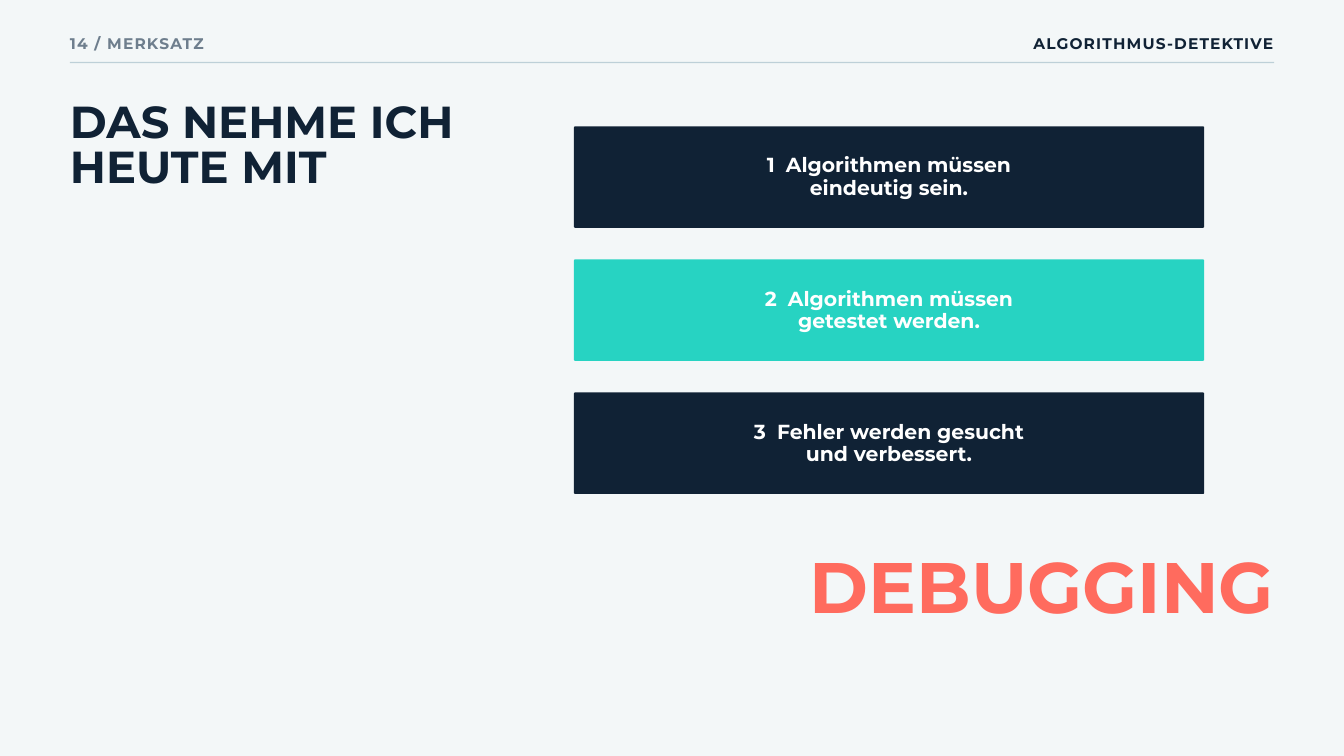
"""Build the takeaway slide with three numbered statements and a closing keyword."""
from pptx import Presentation
from pptx.dml.color import RGBColor
from pptx.enum.shapes import MSO_SHAPE as Shape
from pptx.enum.text import MSO_ANCHOR as Anchor, PP_ALIGN as Align
from pptx.util import Inches, Pt

FONT = "Montserrat"
NAVY, TEAL, CORAL, GREY = "102235", "27D3C2", "FF6B5E", "6E7E8D"
RULE, PAPER, WHITE = "BDD0D8", "F3F7F8", "FFFFFF"

HEADER = {"size": 16.5, "leading": 23.1, "tracking": 1.3}
TEXTS = [
    (["14 / MERKSATZ"], (1.04, 0.46, 3.12, 0.31), {**HEADER, "color": GREY}),
    (["ALGORITHMUS-DETEKTIVE"], (15.1, 0.46, 3.85, 0.31),
     {**HEADER, "color": NAVY, "align": Align.RIGHT}),
    (["DAS NEHME ICH", "HEUTE MIT"], (1.04, 1.51, 8.85, 1.37),
     {"size": 48, "leading": 49, "color": NAVY}),
    (["DEBUGGING"], (11.67, 8.33, 7.29, 1.06),
     {"size": 76.5, "leading": 72.7, "color": CORAL, "align": Align.RIGHT}),
]
STATEMENTS = [
    (["Algorithmen müssen", "eindeutig sein."], NAVY),
    (["Algorithmen müssen", "getestet werden."], TEAL),
    (["Fehler werden gesucht", "und verbessert."], NAVY),
]
CARD_LEFT, CARD_TOP, CARD_WIDTH, CARD_HEIGHT = 8.54, 1.88, 9.38, 1.51
CARD_STEP, CARD_RADIUS, CARD_INSET = 1.98, 0.02, 0.06
NUMBER_TRACKING = 2.85


def rgb(value):
    """Turn a hex string into a colour."""
    return RGBColor.from_string(value)


def add_run(paragraph, text, size, color, tracking=0):
    """Append one bold run with optional letter spacing in points."""
    run = paragraph.add_run()
    run.text = text
    run.font.name, run.font.size, run.font.bold = FONT, Pt(size), True
    run.font.color.rgb = rgb(color)
    if tracking:
        run.font._element.set("spc", str(round(tracking * 100)))


def write(shape, lines, *, size, leading, color, align=Align.LEFT,
          anchor=Anchor.TOP, inset=0, tracking=0, number=None):
    """Write lines as paragraphs, the first one led by an optional number."""
    frame = shape.text_frame
    frame.word_wrap, frame.vertical_anchor = True, anchor
    frame.margin_left = frame.margin_right = Inches(inset)
    frame.margin_top = frame.margin_bottom = Inches(inset)
    for index, line in enumerate(lines):
        paragraph = frame.add_paragraph() if index else frame.paragraphs[0]
        paragraph.alignment, paragraph.line_spacing = align, Pt(leading)
        if number and index == 0:
            add_run(paragraph, f"{number} ", size, color, NUMBER_TRACKING)
        add_run(paragraph, line, size, color, tracking)


def add_block(slide, kind, box, fill):
    """Add a filled shape without line or shadow."""
    shape = slide.shapes.add_shape(kind, *map(Inches, box))
    shape.shadow.inherit = False
    shape.fill.solid()
    shape.fill.fore_color.rgb = rgb(fill)
    shape.line.fill.background()
    return shape


def main():
    """Assemble and save the slide."""
    presentation = Presentation()
    presentation.slide_width, presentation.slide_height = Inches(20), Inches(11.25)
    slide = presentation.slides.add_slide(presentation.slide_layouts[6])
    slide.background.fill.solid()
    slide.background.fill.fore_color.rgb = rgb(PAPER)

    add_block(slide, Shape.RECTANGLE, (1.04, 0.92, 17.92, 0.02), RULE)
    for lines, box, style in TEXTS:
        write(slide.shapes.add_textbox(*map(Inches, box)), lines, **style)

    for index, (lines, fill) in enumerate(STATEMENTS):
        box = (CARD_LEFT, CARD_TOP + index * CARD_STEP, CARD_WIDTH, CARD_HEIGHT)
        card = add_block(slide, Shape.ROUNDED_RECTANGLE, box, fill)
        card.adjustments[0] = CARD_RADIUS / CARD_HEIGHT
        write(card, lines, size=21.8, leading=23.9, color=WHITE, align=Align.CENTER,
              anchor=Anchor.MIDDLE, inset=CARD_INSET, number=index + 1)

    presentation.save("out.pptx")


if __name__ == "__main__":
    main()
